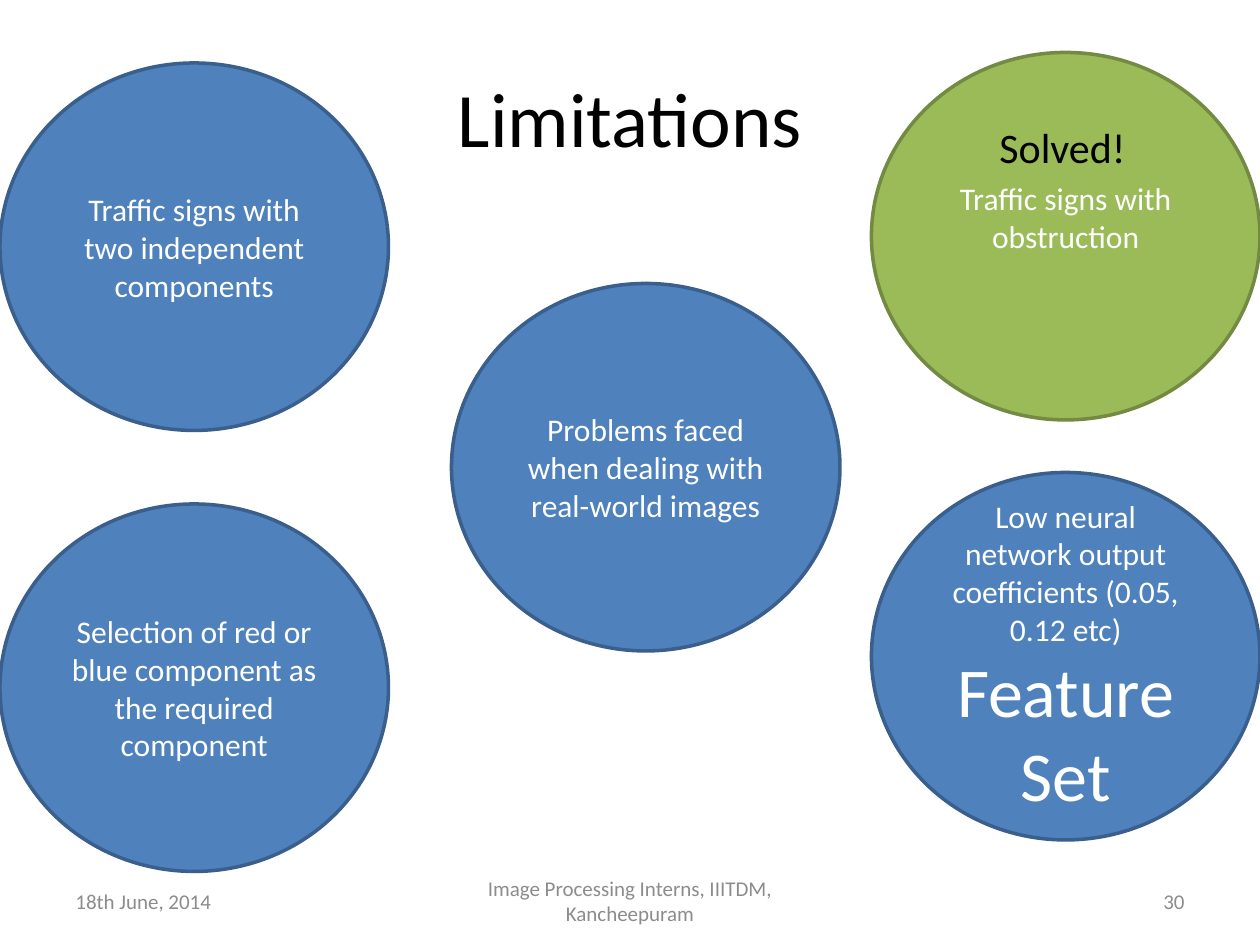
from pptx import Presentation
from pptx.dml.color import RGBColor
from pptx.enum.shapes import MSO_SHAPE
from pptx.enum.text import MSO_ANCHOR, PP_ALIGN
from pptx.util import Inches, Pt

OVAL = MSO_SHAPE.OVAL
TOP, MIDDLE = MSO_ANCHOR.TOP, MSO_ANCHOR.MIDDLE
LEFT, CENTER, RIGHT = PP_ALIGN.LEFT, PP_ALIGN.CENTER, PP_ALIGN.RIGHT

COLORS = {
    "black": "000000",
    "white": "FFFFFF",
    "gray": "8C8C8C",
    "blue": "4F81BD",
    "blue_edge": "3A5F8C",
    "green": "9BBB59",
    "green_edge": "738A42",
}

presentation = Presentation()
presentation.slide_width = Inches(10)
presentation.slide_height = Inches(7.5)
CELL = presentation.slide_width / 120
slide = presentation.slides.add_slide(presentation.slide_layouts[5])


def grid(*cells):
    return [round(cell * CELL) for cell in cells]


def write(shape, lines, color, alignment, anchor=MIDDLE, wrap=True):
    frame = shape.text_frame
    frame.word_wrap = wrap
    frame.vertical_anchor = anchor
    frame.text = "\n".join(text for text, size in lines)
    for paragraph, (text, size) in zip(frame.paragraphs, lines):
        paragraph.alignment = alignment
        paragraph.font.name = "Calibri"
        paragraph.font.size = Pt(size)
        paragraph.font.color.rgb = RGBColor.from_string(COLORS[color])


title = slide.shapes.title
title.left, title.top, title.width, title.height = grid(6, 3.6, 108, 15)
write(title, [("Limitations", 44)], "black", CENTER)

footers = [
    (6, 28, "18th June, 2014", LEFT),
    (41, 38, "Image Processing Interns, IIITDM, Kancheepuram", CENTER),
    (86, 28, "30", RIGHT),
]
for column, width, text, alignment in footers:
    footer = slide.shapes.add_textbox(*grid(column, 83.4, width, 4.8))
    write(footer, [(text, 12)], "gray", alignment)

limitations = [
    (83, 5, "green", 4.2, [("Traffic signs with obstruction", 18)]),
    (0, 6, "blue", 0.6, [("Traffic signs with two independent components", 18)]),
    (83, 45, "blue", 0.6, [
        ("Low neural network output coefficients (0.05, 0.12 etc)", 18),
        ("Feature Set", 40),
    ]),
    (0, 48, "blue", 0.6, [
        ("Selection of red or blue component as the required component", 18),
    ]),
    (43, 27, "blue", 0.6, [("Problems faced when dealing with real-world images", 18)]),
]
for column, row, color, bottom_margin, lines in limitations:
    circle = slide.shapes.add_shape(OVAL, *grid(column, row, 37, 35))
    circle.shadow.inherit = False
    circle.fill.solid()
    circle.fill.fore_color.rgb = RGBColor.from_string(COLORS[color])
    circle.line.color.rgb = RGBColor.from_string(COLORS[color + "_edge"])
    circle.line.width = Pt(2)
    circle.text_frame.margin_bottom = round(bottom_margin * CELL)
    write(circle, lines, "white", CENTER)

solved = slide.shapes.add_textbox(*grid(94, 11, 14.6, 6))
write(solved, [("Solved!", 24)], "black", LEFT, TOP, wrap=False)

presentation.save("out.pptx")
